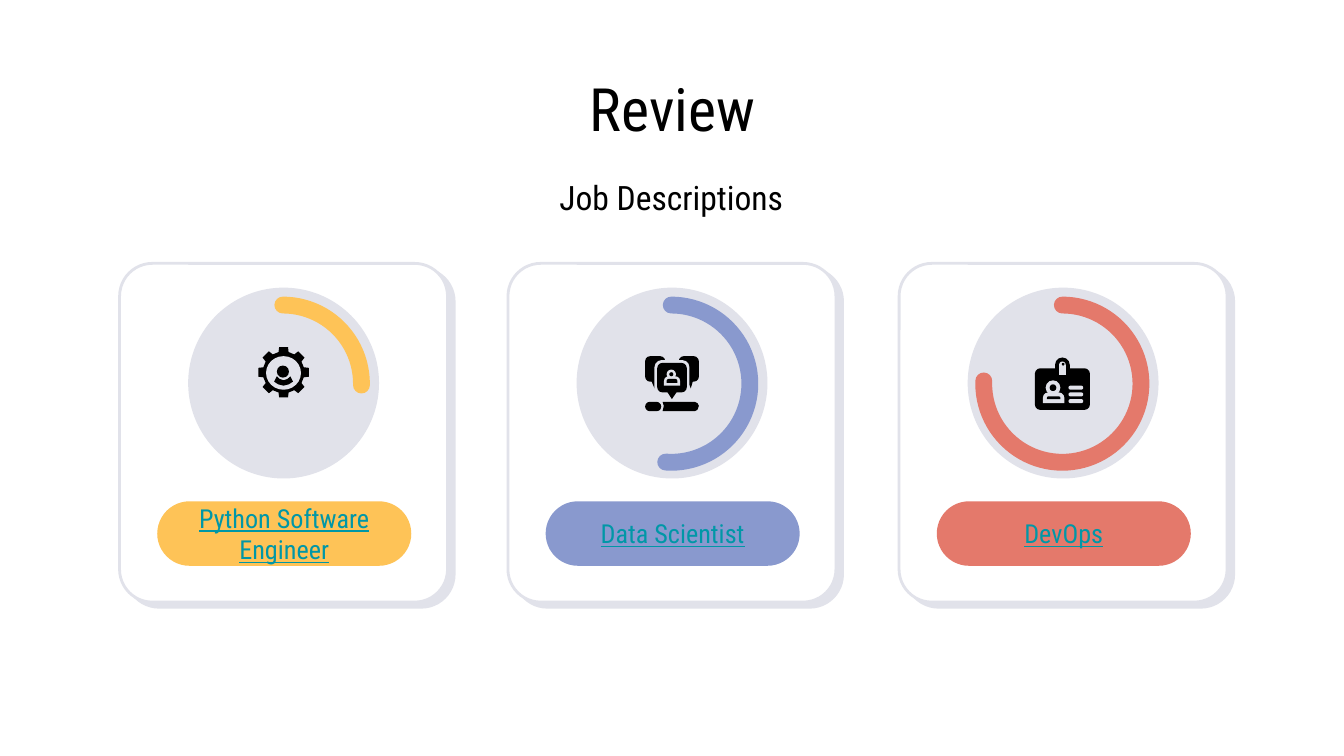
from collections import namedtuple
from math import cos, radians, sin

from lxml.etree import SubElement
from pptx import Presentation
from pptx.dml.color import RGBColor
from pptx.enum.shapes import MSO_SHAPE as Kind
from pptx.enum.text import MSO_ANCHOR as Anchor, PP_ALIGN as Align
from pptx.oxml.ns import qn
from pptx.util import Inches, Pt

PX = 9144
FONT = "Roboto Condensed"
BLACK, WHITE, GREY, TEAL = "000000", "FFFFFF", "E1E2EA", "0097A7"


class Box(namedtuple("Box", "x y w h")):
    """A rectangle in px."""

    def at(self, x, y, w, h):
        """Return a box placed relative to this one."""
        return Box(self.x + x, self.y + y, w, h)

    def emu(self):
        """Return the four lengths in EMU."""
        return [n * PX for n in self]


def hue(text):
    """Turn a hex string into a colour."""
    return RGBColor.from_string(text)


def paint(part, fill=None, line=None, width=1):
    """Set fill and line of a shape and drop its shadow."""
    part.shadow.inherit = False
    if fill:
        part.fill.solid()
        part.fill.fore_color.rgb = hue(fill)
    else:
        part.fill.background()
    if line:
        part.line.color.rgb = hue(line)
        part.line.width = Pt(width)
    else:
        part.line.fill.background()
    return part


def draw(slide, kind, box, fill=None, line=None, width=1, adj=()):
    """Add a preset shape."""
    part = slide.shapes.add_shape(kind, *box.emu())
    for i, value in enumerate(adj):
        part.adjustments[i] = value
    return paint(part, fill, line, width)


def outline(slide, box, points, fill):
    """Add a closed polygon with points relative to a box."""
    spots = [(round((box.x + x) * PX), round((box.y + y) * PX)) for x, y in points]
    pen = slide.shapes.build_freeform(*spots[0])
    pen.add_line_segments(spots[1:], close=True)
    return paint(pen.convert_to_shape(), fill)


def write(part, text, size, color, side=10, under=None):
    """Put centred text into a shape."""
    frame = part.text_frame
    frame.text = text
    frame.word_wrap = True
    frame.vertical_anchor = Anchor.MIDDLE
    frame.margin_left = frame.margin_right = side * PX
    frame.margin_top = frame.margin_bottom = 10 * PX
    line = frame.paragraphs[0]
    line.alignment = Align.CENTER
    font = line.runs[0].font
    font.name, font.size, font.underline = FONT, Pt(size), under
    font.color.rgb = hue(color)


def cast(part, color):
    """Give a shape a hard offset shadow."""
    effects = part._element.spPr.find(qn("a:effectLst"))
    shade = SubElement(effects, qn("a:outerShdw"), dist=str(Pt(4.5)),
                       dir=str(38 * 60000), algn="bl", rotWithShape="0")
    SubElement(shade, qn("a:srgbClr"), val=color)


def person(slide, box, head, tall, rim):
    """Draw a hollow head and shoulders."""
    left = (box.w - head) // 2
    top = box.h - tall
    for inset, color in ((0, GREY), (rim, BLACK)):
        cut = 2 * inset
        draw(slide, Kind.OVAL,
             box.at(left + inset, inset, head - cut, head - cut), color)
        draw(slide, Kind.ROUND_2_SAME_RECTANGLE,
             box.at(inset, top + inset, box.w - cut, tall - cut), color, adj=[0.5])


def gear(slide, box):
    """Draw a cog with a smiling face."""
    teeth = ((15.5, -14), (19, -10), (19, 10), (15.5, 14))
    turns = [(r, radians(45 * k + a)) for k in range(8) for r, a in teeth]
    outline(slide, box, [(122 + r * cos(a), 81 + r * sin(a)) for r, a in turns], BLACK)
    draw(slide, Kind.OVAL, box.at(109, 69, 26, 25), GREY)
    draw(slide, Kind.OVAL, box.at(117, 76, 9, 9), BLACK)
    smile = ((117, 84), (119, 86), (122, 87), (125, 86), (127, 84), (129, 88),
             (126, 90), (122, 91), (118, 90), (115, 88))
    outline(slide, box, smile, BLACK)


def chat(slide, box):
    """Draw speech bubbles above a bar."""
    for x, tail in ((102, 106), (127, 133)):
        draw(slide, Kind.ROUNDED_RECTANGLE, box.at(x, 69, 15, 19), BLACK, adj=[0.25])
        outline(slide, box, ((tail, 86), (tail + 5, 86), (tail + 3, 93)), BLACK)
    draw(slide, Kind.ROUNDED_RECTANGLE, box.at(109, 72, 26, 26), GREY, adj=[0.2])
    draw(slide, Kind.ROUNDED_RECTANGLE, box.at(111, 74, 22, 22), BLACK, adj=[0.18])
    outline(slide, box, ((118, 95), (126, 95), (122, 101)), BLACK)
    person(slide, box.at(116, 79, 12, 12), 7, 7, 2)
    draw(slide, Kind.ROUNDED_RECTANGLE, box.at(102, 103, 12, 7), BLACK, adj=[0.5])
    bar = ((115, 103), (139, 103), (141, 104), (142, 106), (141, 109),
           (139, 110), (115, 110), (116, 106))
    outline(slide, box, bar, BLACK)


def badge(slide, box):
    """Draw an identity card with a clip."""
    draw(slide, Kind.ROUNDED_RECTANGLE, box.at(101, 78, 41, 31), BLACK, adj=[0.13])
    draw(slide, Kind.ROUND_2_SAME_RECTANGLE, box.at(116, 70, 11, 12), BLACK, adj=[0.5])
    draw(slide, Kind.ROUND_2_SAME_RECTANGLE, box.at(119, 73, 5, 10), GREY, adj=[0.5])
    draw(slide, Kind.OVAL, box.at(121, 74, 2, 2), BLACK)
    person(slide, box.at(107, 87, 16, 17), 11, 8, 3)
    for row in range(3):
        draw(slide, Kind.ROUNDED_RECTANGLE, box.at(126, 91 + 5 * row, 11, 3),
             GREY, adj=[0.5])


def card(slide, box, text, color, end, icon):
    """Draw one job card with dial, icon and label."""
    cast(draw(slide, Kind.ROUNDED_RECTANGLE, box, WHITE, GREY, 1.5, [0.1]), GREY)
    draw(slide, Kind.OVAL, box.at(51, 18, 142, 142), GREY)
    arc = draw(slide, Kind.ARC, box.at(63, 31, 117, 117), line=color, width=9,
               adj=[270 * 0.6, end * 0.6])
    arc.line._get_or_add_ln().set("cap", "rnd")
    icon(slide, box)
    pill = draw(slide, Kind.ROUNDED_RECTANGLE, box.at(28, 177, 189, 48), color, adj=[0.5])
    write(pill, text, 14, TEAL, side=0, under=True)


def heads(slide, box):
    """Place the title and the line below it."""
    title = slide.shapes.title
    title.left, title.top, title.width, title.height = box.at(0, 0, 843, 42).emu()
    write(title, "Review", 32, BLACK)
    label = slide.shapes.add_textbox(*box.at(258, 66, 325, 44).emu())
    write(label, "Job Descriptions", 18, BLACK)


def main():
    """Build and save the slide."""
    deck = Presentation()
    deck.slide_width, deck.slide_height = Inches(10), Inches(10) * 9 // 16
    slide = deck.slides.add_slide(deck.slide_layouts[5])
    heads(slide, Box(79, 59, 843, 110))
    jobs = ((89, "Python Software Engineer", "FEC357", 1, gear),
            (378, "Data Scientist", "8999CE", 94, chat),
            (669, "DevOps", "E4796B", 182, badge))
    for left, *job in jobs:
        card(slide, Box(left, 196, 244, 252), *job)
    deck.save("out.pptx")


if __name__ == "__main__":
    main()
